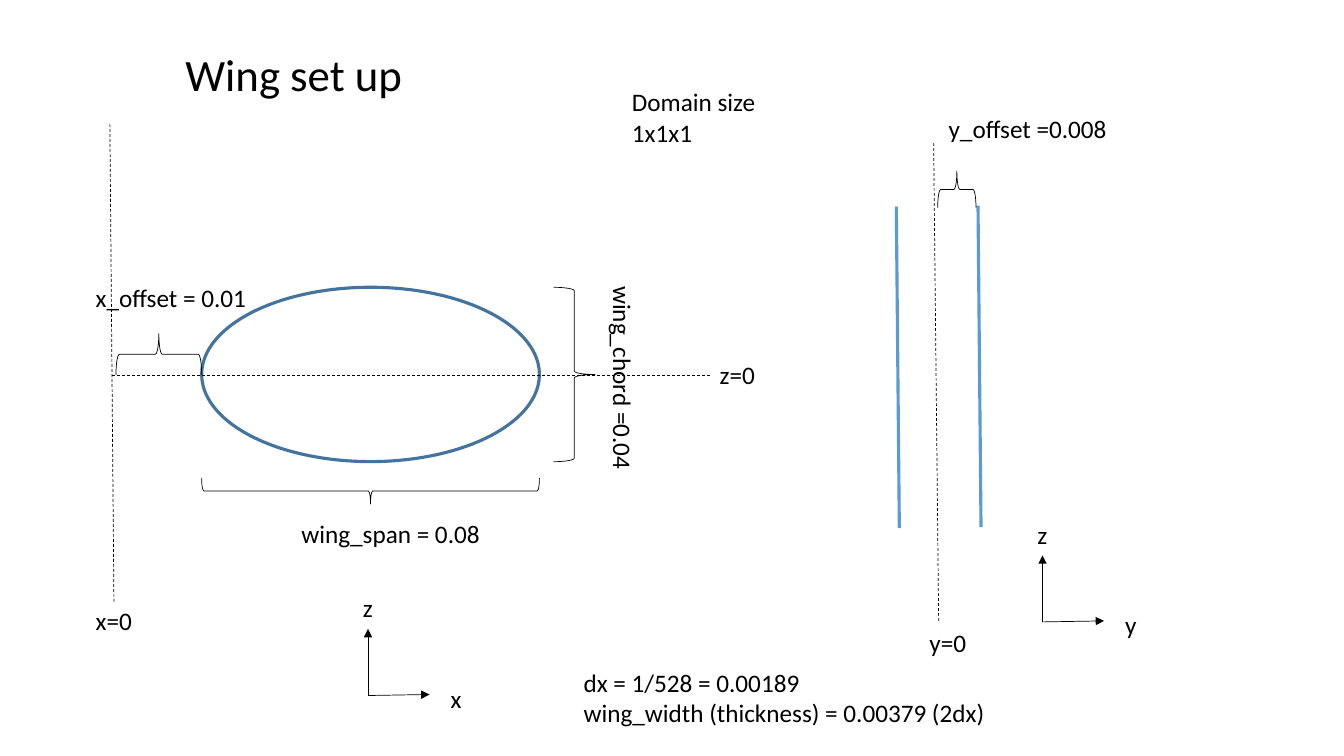
import pptx
import pptx.dml.color
import pptx.enum.dml
import pptx.enum.shapes
import pptx.enum.text
import pptx.oxml.ns
import pptx.util
from lxml import etree

SHAPES = pptx.enum.shapes.MSO_SHAPE


def colour(value):
    return pptx.dml.color.RGBColor.from_string(value)


class WingPage:
    """One slide on a grid of 0.1 inch columns and rows."""

    cell = 0.1
    font = "Calibri"
    ink = "000000"
    blue = "5B9BD5"
    dark_blue = "43739E"
    thin, thick = 0.5, 2.25

    def __init__(self, deck):
        self.page = deck.slides.add_slide(deck.slide_layouts[6])

    def grid(self, *counts):
        return [pptx.util.Inches(count * self.cell) for count in counts]

    def turned(self, left, top, width, height, angle):
        """Frame that covers the given area once it has been rotated."""
        if angle % 180:
            shift = (width - height) / 2
            left, top, width, height = left + shift, top - shift, height, width
        return self.grid(left, top, width, height)

    def stroke(self, line, tone, weight):
        line.color.rgb = colour(tone)
        line.width = pptx.util.Pt(weight)

    def outline(self, kind, area, tone, weight, angle=0):
        shape = self.page.shapes.add_shape(kind, *self.turned(*area, angle))
        shape.rotation = angle
        shape.shadow.inherit = False
        shape.fill.background()
        self.stroke(shape.line, tone, weight)

    def brace(self, area, angle):
        self.outline(SHAPES.LEFT_BRACE, area, self.ink, self.thin, angle)

    def line(self, start, end, tone=ink, weight=thin, dashed=False, arrow=False):
        connector = self.page.shapes.add_connector(
            pptx.enum.shapes.MSO_CONNECTOR.STRAIGHT, *self.grid(*start, *end))
        self.stroke(connector.line, tone, weight)
        if dashed:
            connector.line.dash_style = pptx.enum.dml.MSO_LINE.DASH
        if arrow:
            etree.SubElement(connector.line._get_or_add_ln(),
                             pptx.oxml.ns.qn("a:tailEnd"), type="triangle")
        etree.SubElement(connector._element.spPr, pptx.oxml.ns.qn("a:effectLst"))

    def label(self, area, *texts, size=18, angle=0):
        box = self.page.shapes.add_textbox(*self.turned(*area, angle))
        box.rotation = angle
        frame = box.text_frame
        frame.word_wrap = False
        frame.auto_size = pptx.enum.text.MSO_AUTO_SIZE.SHAPE_TO_FIT_TEXT
        for index, text in enumerate(texts):
            para = frame.add_paragraph() if index else frame.paragraphs[0]
            span = para.add_run()
            span.text = text
            span.font.name = self.font
            span.font.size = pptx.util.Pt(size)
            span.font.color.rgb = colour(self.ink)

    def axes(self, x, y, name):
        """Pair of arrows from an origin, z upwards and the named axis across."""
        self.line((x, y), (x + 6.1, y - 0.1), arrow=True)
        self.line((x, y), (x, y - 6.6), arrow=True)
        self.label((x - 1.5, y - 10.7, 3, 4), "z")
        self.label((x + 7.2, y - 1.7, 3.1, 4), name)


def main():
    deck = pptx.Presentation()
    deck.slide_width = pptx.util.Inches(13.33)
    deck.slide_height = pptx.util.Inches(7.5)
    wing = WingPage(deck)

    # Side view: wing outline and reference lines
    wing.outline(SHAPES.OVAL, (20, 28.5, 33.5, 17.3), wing.dark_blue, wing.thick)
    wing.line((70.4, 37.2), (11.1, 37.2), dashed=True)
    wing.line((10.9, 12.3), (11.3, 59.7), dashed=True)
    wing.label((70.4, 35.2, 5.6, 4), "z=0")
    wing.label((8.5, 59.6, 5.7, 4), "x=0")

    # Side view: dimensions
    wing.brace((11.5, 33.1, 8.5, 4.1), 90)
    wing.label((8.5, 27.5, 17.7, 4), "x_offset = 0.01")
    wing.brace((20, 47.4, 33.5, 2.6), 270)
    wing.label((28.9, 50.9, 20.5, 4), "wing_span = 0.08")
    wing.brace((54.9, 28.5, 4.1, 17.3), 180)
    wing.label((59.8, 27.4, 4, 21), "wing_chord =0.04", angle=90)
    wing.axes(36.5, 69, "x")

    # Front view: the two wings, reference line and offset
    for x, y in ((88.9, 20.5), (97, 20.4)):
        wing.line((x, y), (x + 0.3, y + 31.9), wing.blue, wing.thick)
    wing.line((92.6, 14.2), (93.1, 61.6), dashed=True)
    wing.label((91.2, 61.7, 5.7, 4), "y=0")
    wing.brace((93, 17, 3.8, 3.6), 90)
    wing.label((93.1, 10.8, 18.5, 4), "y_offset =0.008")
    wing.axes(103.4, 61.7, "y")

    # Title and notes on the set-up
    wing.label((17.4, 4.1, 23.8, 6.4), "Wing set up", size=32)
    wing.label((61.7, 8.1, 14.4, 7.1), "Domain size", "1x1x1")
    wing.label((56.9, 65.7, 42.3, 7.1), "dx = 1/528 = 0.00189",
               "wing_width (thickness) = 0.00379 (2dx)")

    deck.save("out.pptx")


if __name__ == "__main__":
    main()
